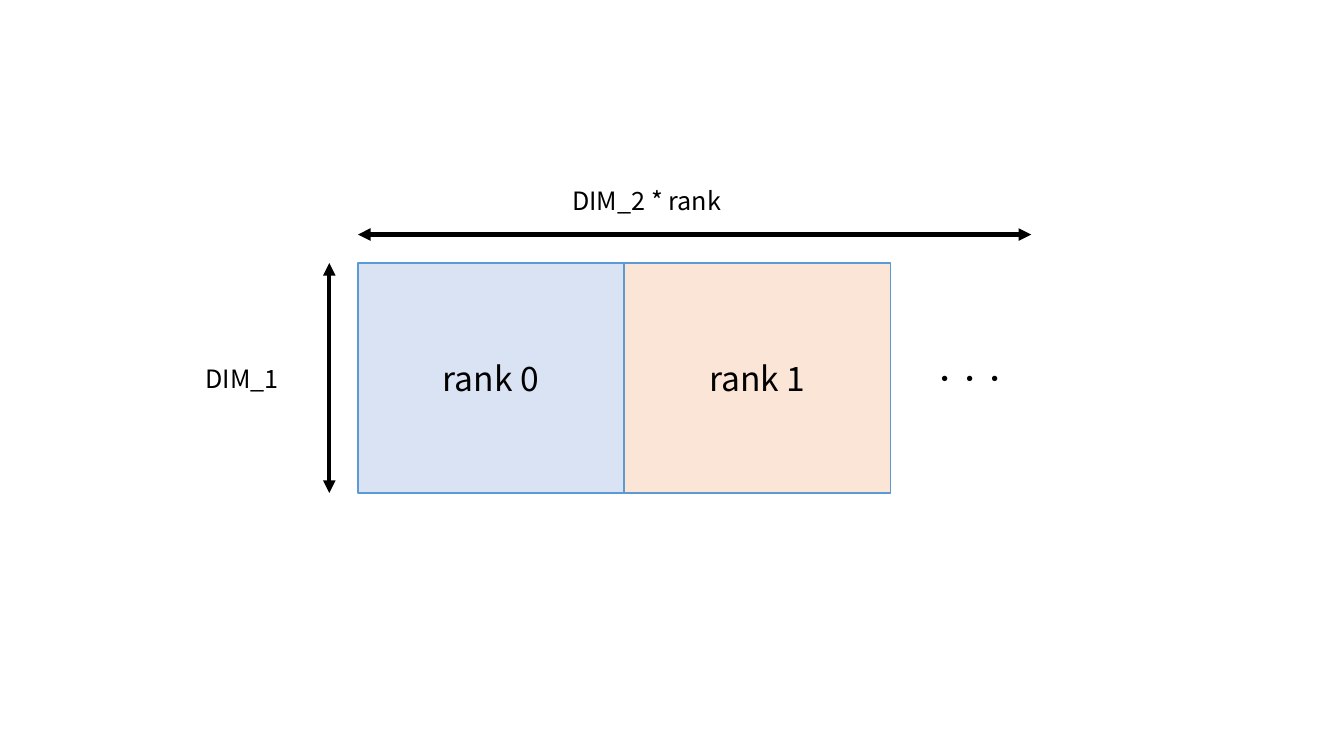
from dataclasses import dataclass

from lxml.etree import SubElement
from pptx import Presentation
from pptx.dml.color import RGBColor
from pptx.enum.shapes import MSO_CONNECTOR as Connector, MSO_SHAPE as Shape
from pptx.enum.text import MSO_ANCHOR as Anchor, MSO_AUTO_SIZE as AutoSize, PP_ALIGN as Align
from pptx.oxml.ns import qn
from pptx.util import Cm, Pt


@dataclass(frozen=True)
class Theme:
    font: str = "Noto Sans CJK JP"
    ink: RGBColor = RGBColor(0, 0, 0)
    border: RGBColor = RGBColor(0x5B, 0x9B, 0xD5)
    rank_size: Pt = Pt(24)
    label_size: Pt = Pt(18)
    border_width: Pt = Pt(1)
    arrow_width: Pt = Pt(3)


THEME = Theme()
RANKS = [("rank 0", "DAE3F3"), ("rank 1", "FBE5D6")]
LABELS = [
    ("DIM_1", 4.93, 9.02, 2.49),
    ("DIM_2 * rank", 14.17, 4.55, 5.54),
    ("・・・", 23.24, 9.02, 2.57),
]
LABEL_HEIGHT = 1.02
LEFT, TOP = 9.02, 6.63
BLOCK_WIDTH, BLOCK_HEIGHT = 6.71, 5.79
ARROW_GAP = 0.72
TOTAL_WIDTH = 16.97


def write(box, text, size):
    para = box.text_frame.paragraphs[0]
    para.text = text
    para.font.size = size
    para.font.color.rgb = THEME.ink
    para.font.name = THEME.font
    defaults = para._p.pPr.find(qn("a:defRPr"))
    SubElement(defaults, qn("a:ea"), typeface=THEME.font)
    return para


def add_block(page, index, text, fill):
    box = page.shapes.add_shape(
        Shape.RECTANGLE, Cm(LEFT + index * BLOCK_WIDTH), Cm(TOP),
        Cm(BLOCK_WIDTH), Cm(BLOCK_HEIGHT))
    box.shadow.inherit = False
    box.fill.solid()
    box.fill.fore_color.rgb = RGBColor.from_string(fill)
    box.line.color.rgb = THEME.border
    box.line.width = THEME.border_width
    box.text_frame.vertical_anchor = Anchor.MIDDLE
    write(box, text, THEME.rank_size).alignment = Align.CENTER


def add_arrow(page, *ends):
    arrow = page.shapes.add_connector(Connector.STRAIGHT, *map(Cm, ends))
    arrow.line.color.rgb = THEME.ink
    arrow.line.width = THEME.arrow_width
    outline = arrow.line._get_or_add_ln()
    for end in ("a:headEnd", "a:tailEnd"):
        SubElement(outline, qn(end), type="triangle")
    SubElement(arrow._element.spPr, qn("a:effectLst"))


def add_label(page, text, left, top, width):
    box = page.shapes.add_textbox(Cm(left), Cm(top), Cm(width), Cm(LABEL_HEIGHT))
    box.text_frame.word_wrap = True
    box.text_frame.auto_size = AutoSize.SHAPE_TO_FIT_TEXT
    write(box, text, THEME.label_size)


def main():
    deck = Presentation()
    deck.slide_width, deck.slide_height = Cm(33.87), Cm(19.05)
    page = deck.slides.add_slide(deck.slide_layouts[6])
    for index, (text, fill) in enumerate(RANKS):
        add_block(page, index, text, fill)
    side, above = LEFT - ARROW_GAP, TOP - ARROW_GAP
    add_arrow(page, side, TOP, side, TOP + BLOCK_HEIGHT)
    add_arrow(page, LEFT, above, LEFT + TOTAL_WIDTH, above)
    for label in LABELS:
        add_label(page, *label)
    deck.save("out.pptx")


if __name__ == "__main__":
    main()
